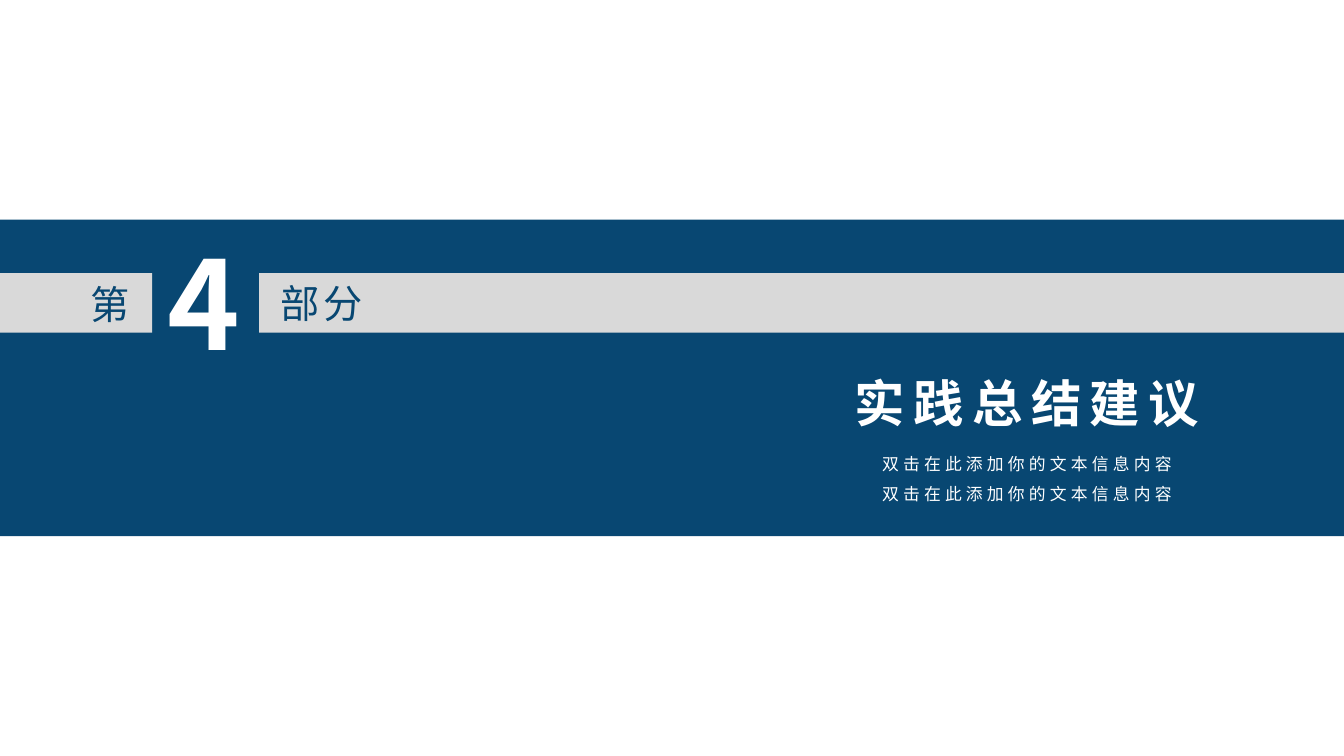
from dataclasses import dataclass

from pptx import Presentation
from pptx.dml.color import RGBColor
from pptx.enum.shapes import MSO_SHAPE
from pptx.enum.text import MSO_AUTO_SIZE
from pptx.oxml.ns import qn
from pptx.slide import Slide
from pptx.util import Emu, Pt
from lxml.etree import SubElement

EMU_PER_PX = 9144  # 100 px to the inch
SLIDE_W, SLIDE_H = 1333, 750
FONT = "Noto Sans CJK SC"
COLORS = {"navy": "084772", "gray": "D9D9D9", "white": "FFFFFF"}


@dataclass(frozen=True)
class Box:
    left: int
    top: int
    width: int
    height: int

    def emu(self) -> tuple[Emu, ...]:
        edges = (self.left, self.top, self.width, self.height)
        return tuple(Emu(px * EMU_PER_PX) for px in edges)


@dataclass(frozen=True)
class Band:
    box: Box
    color: str


@dataclass(frozen=True)
class Label:
    text: str
    box: Box
    size: int
    color: str = "white"
    bold: bool = False
    tracking: int = 3
    line_spacing: float = 1.0


def draw_band(slide: Slide, band: Band) -> None:
    bar = slide.shapes.add_shape(MSO_SHAPE.RECTANGLE, *band.box.emu())
    bar.shadow.inherit = False
    bar.fill.solid()
    bar.fill.fore_color.rgb = RGBColor.from_string(COLORS[band.color])
    bar.line.fill.background()


def draw_text(slide: Slide, text: str, *, box: Box, size: int, color: str,
              bold: bool, tracking: int, line_spacing: float) -> None:
    frame = slide.shapes.add_textbox(*box.emu()).text_frame
    frame.word_wrap = True
    frame.auto_size = MSO_AUTO_SIZE.SHAPE_TO_FIT_TEXT
    paragraph = frame.paragraphs[0]
    if line_spacing != 1.0:
        paragraph.line_spacing = line_spacing
    run = paragraph.add_run()
    run.text = text
    run.font.size = Pt(size)
    run.font.bold = bold
    run.font.name = FONT
    run.font.color.rgb = RGBColor.from_string(COLORS[color])
    # Character spacing and the East Asian typeface
    properties = run.font._element
    properties.set("spc", str(tracking * 100))
    SubElement(properties, qn("a:ea"), typeface=FONT)


# Navy band, crossed by a gray strip with a gap for the number
STRIP_TOP, STRIP_H = 271, 59
GAP_LEFT, GAP_RIGHT = 151, 257
BANDS = [
    Band(Box(0, 218, SLIDE_W, 314), "navy"),
    Band(Box(0, STRIP_TOP, GAP_LEFT, STRIP_H), "gray"),
    Band(Box(GAP_RIGHT, STRIP_TOP, SLIDE_W - GAP_RIGHT, STRIP_H), "gray"),
]

# Part number, section title and description
LABELS = [
    Label("第", Box(80, 273, 83, 57), 28, "navy"),
    Label("4", Box(156, 221, 83, 158), 88, bold=True),
    Label("部分", Box(268, 272, 124, 57), 28, "navy"),
    Label("实践总结建议", Box(838, 364, 420, 71), 36, bold=True, tracking=6),
    Label("双击在此添加你的文本信息内容" * 2, Box(865, 435, 321, 97), 12,
          line_spacing=1.5),
]


def main() -> None:
    presentation = Presentation()
    presentation.slide_width = Emu(SLIDE_W * EMU_PER_PX)
    presentation.slide_height = Emu(SLIDE_H * EMU_PER_PX)
    slide = presentation.slides.add_slide(presentation.slide_layouts[6])
    for band in BANDS:
        draw_band(slide, band)
    for label in LABELS:
        draw_text(slide, label.text, box=label.box, size=label.size,
                  color=label.color, bold=label.bold, tracking=label.tracking,
                  line_spacing=label.line_spacing)
    presentation.save("out.pptx")


if __name__ == "__main__":
    main()
